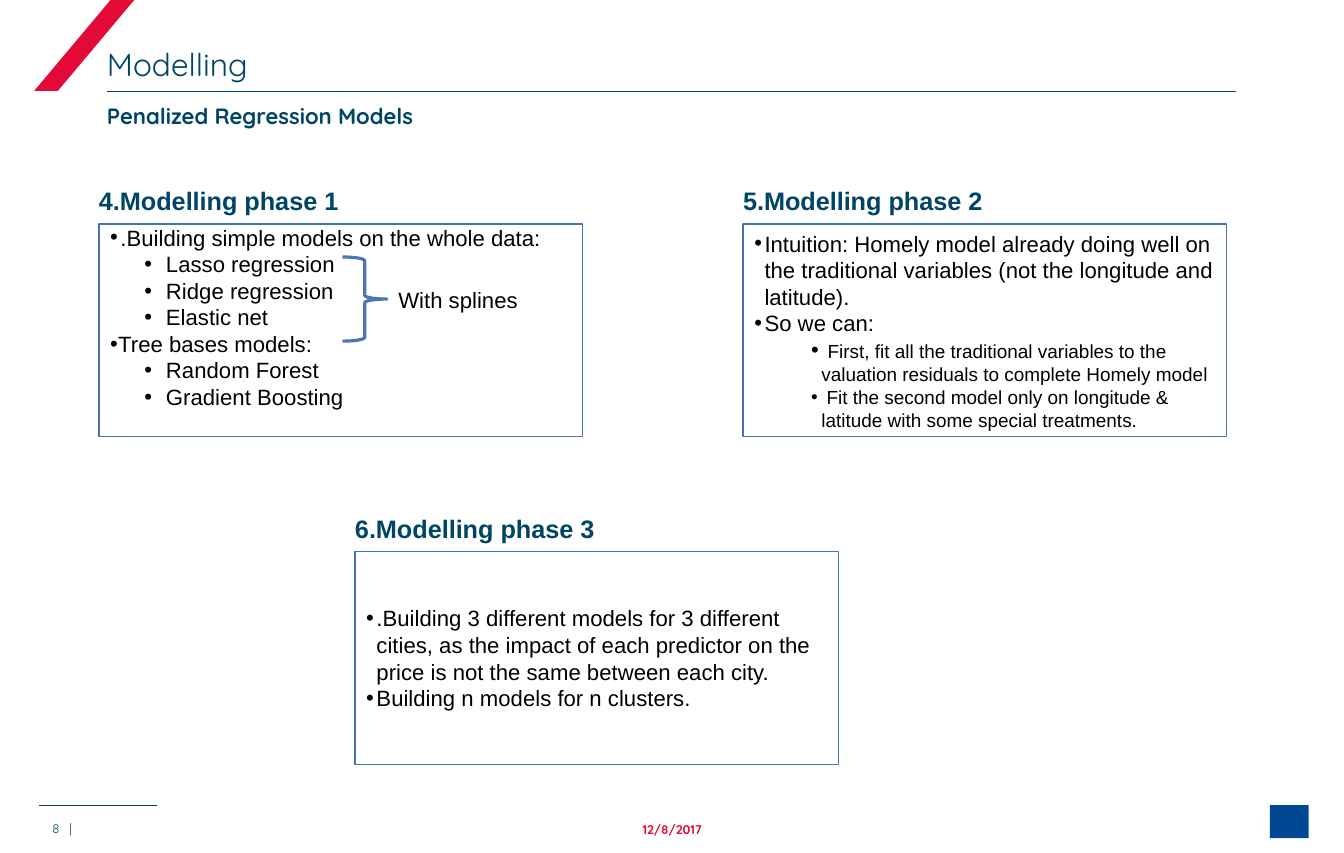
from pptx import Presentation
from pptx import util as u
from pptx.dml.color import RGBColor
from pptx.enum import shapes, text
from pptx.oxml import parse_xml
from pptx.oxml.ns import nsdecls

PX = 9144  # 100 px to the inch
NAVY, RED, BLUE, BLACK = "004563", "E40A38", "4574B5", "000000"
LEFT, CENTER = text.PP_ALIGN.LEFT, text.PP_ALIGN.CENTER
TOP, MIDDLE, BOTTOM = (text.MSO_ANCHOR.TOP, text.MSO_ANCHOR.MIDDLE,
                       text.MSO_ANCHOR.BOTTOM)
# Each paragraph style: left margin and hanging indent, px
MAIN, TREE, MODEL, STEP = (9, 9), (7, 7), (49, 19), (59, 9)


def px(*lengths):
    return [u.Emu(n * PX) for n in lengths]


def rgb(color):
    return RGBColor.from_string(color)


def format_run(r, size, color, font="Arial", bold=False):
    r.font.name, r.font.size, r.font.bold = font, u.Pt(size), bold
    r.font.color.rgb = rgb(color)


def add_preset(slide, kind, box, fill=None, line=None, weight=0.75):
    sp = slide.shapes.add_shape(kind, *px(*box))
    sp.shadow.inherit = False
    if fill:
        sp.fill.solid()
        sp.fill.fore_color.rgb = rgb(fill)
    else:
        sp.fill.background()
    if line:
        sp.line.color.rgb = rgb(line)
        sp.line.width = u.Pt(weight)
    else:
        sp.line.fill.background()
    return sp


def add_label(slide, box, words, size, color, font="Arial", bold=False,
              align=LEFT, anchor=TOP):
    tf = slide.shapes.add_textbox(*px(*box)).text_frame
    tf.word_wrap = True
    tf.margin_left = tf.margin_top = tf.margin_right = tf.margin_bottom = 0
    tf.vertical_anchor = anchor
    p = tf.paragraphs[0]
    p.text, p.alignment = words, align
    format_run(p.runs[0], size, color, font, bold)
    return p


def add_rule(slide, x, y, width):
    line = slide.shapes.add_connector(shapes.MSO_CONNECTOR.STRAIGHT,
                                      *px(x, y, x + width, y))
    line.line.color.rgb = rgb(NAVY)
    line.line.width = u.Pt(0.5)
    line._element.spPr.append(parse_xml(f"<a:effectLst {nsdecls('a')}/>"))


def add_bullet(p, margin, hang):
    pPr = p._p.get_or_add_pPr()
    pPr.set("marL", str(margin * PX))
    pPr.set("indent", str(-hang * PX))
    pPr.append(parse_xml(f'<a:buFont {nsdecls("a")} typeface="Arial"/>'))
    pPr.append(parse_xml(f'<a:buChar {nsdecls("a")} char="•"/>'))


def add_tab_stop(p, position):
    p._p.get_or_add_pPr().append(parse_xml(
        f'<a:tabLst {nsdecls("a")}><a:tab pos="{position * PX}" algn="l"/></a:tabLst>'))


def add_header(slide, box, title, subtitle):
    x, y, w, h = box
    stripe = add_preset(slide, shapes.MSO_SHAPE.PARALLELOGRAM,
                        (x - 64, y, 88, h), RED)
    stripe.adjustments[0] = 0.84
    add_rule(slide, x, y + h, w)
    add_label(slide, (x, y + 36, w, 37), title, 20, NAVY, "Quicksand", anchor=BOTTOM)
    add_label(slide, (x, y + h + 10, w, 42), subtitle, 14, NAVY, "Quicksand", True)


def add_phase(slide, box, heading, items, anchor=MIDDLE):
    """Frame of bullets under a heading; an item is (style, (words, size), ...)."""
    x, y, w, h = box
    add_label(slide, (x, y - 34, 310, 27), heading, 16, NAVY, bold=True)
    tf = add_preset(slide, shapes.MSO_SHAPE.RECTANGLE, box, line=BLUE).text_frame
    tf.word_wrap = True
    tf.vertical_anchor = anchor
    if anchor == TOP:
        tf.margin_top = 0
    for i, (style, *pieces) in enumerate(items):
        p = tf.add_paragraph() if i else tf.paragraphs[0]
        p.alignment = LEFT
        add_bullet(p, *style)
        for words, size in pieces:
            r = p.add_run()
            r.text = words
            format_run(r, size, BLACK)


def add_splines_note(slide, box):
    x, y, w, h = box
    add_preset(slide, shapes.MSO_SHAPE.RIGHT_BRACE, (x, y, 39, h),
               line="4977B6", weight=2)
    add_label(slide, (x + 49, y + 26, w - 49, 24), "With splines", 14, BLACK)


def add_footer(slide, box, number, date):
    x, y, w, h = box
    add_rule(slide, x, y, 104)
    p = add_label(slide, (x + 12, y + 4, 40, 23), f"{number}\t|", 8, NAVY,
                  "Quicksand", anchor=BOTTOM)
    add_tab_stop(p, 15)
    add_label(slide, (x + 419, y + 4, 276, 24), date, 8, RED, "Quicksand", True,
              CENTER, BOTTOM)
    add_preset(slide, shapes.MSO_SHAPE.RECTANGLE, (x + w - 34, y, 34, h), "004893")


def main():
    prs = Presentation()
    prs.slide_width, prs.slide_height = u.Mm(300), u.Inches(7.5)
    slide = prs.slides.add_slide(prs.slide_layouts[6])

    add_header(slide, (94, 0, 992, 80), "Modelling", "Penalized Regression Models")
    add_phase(slide, (87, 197, 425, 187), "4.Modelling phase 1", [
        (MAIN, (".Building simple models on the whole data:", 14)),
        (MODEL, ("Lasso regression", 14)),
        (MODEL, ("Ridge regression", 14)),
        (MODEL, ("Elastic net", 14)),
        (TREE, ("Tree bases models:", 14)),
        (MODEL, ("Random Forest", 14)),
        (MODEL, ("Gradient Boosting", 14)),
    ], TOP)
    add_splines_note(slide, (301, 226, 161, 74))
    add_phase(slide, (653, 197, 425, 187), "5.Modelling phase 2", [
        (MAIN, ("Intuition: Homely model already doing well on the traditional "
                "variables (not the longitude and latitude).", 14)),
        (MAIN, ("So we can:", 14)),
        (STEP, (" ", 14), ("First, fit all the traditional variables to the "
                           "valuation residuals to complete Homely model", 12)),
        (STEP, (" Fit the second model only on longitude & latitude with some "
                "special treatments.", 12)),
    ])
    add_phase(slide, (312, 485, 425, 187), "6.Modelling phase 3", [
        (MAIN, (".Building 3 different models for 3 different cities, as the impact "
                "of each predictor on the price is not the same between each city.", 14)),
        (MAIN, ("Building n models for n clusters.", 14)),
    ])
    add_footer(slide, (34, 708, 1116, 29), 8, "12/8/2017")
    prs.save("out.pptx")


if __name__ == "__main__":
    main()
